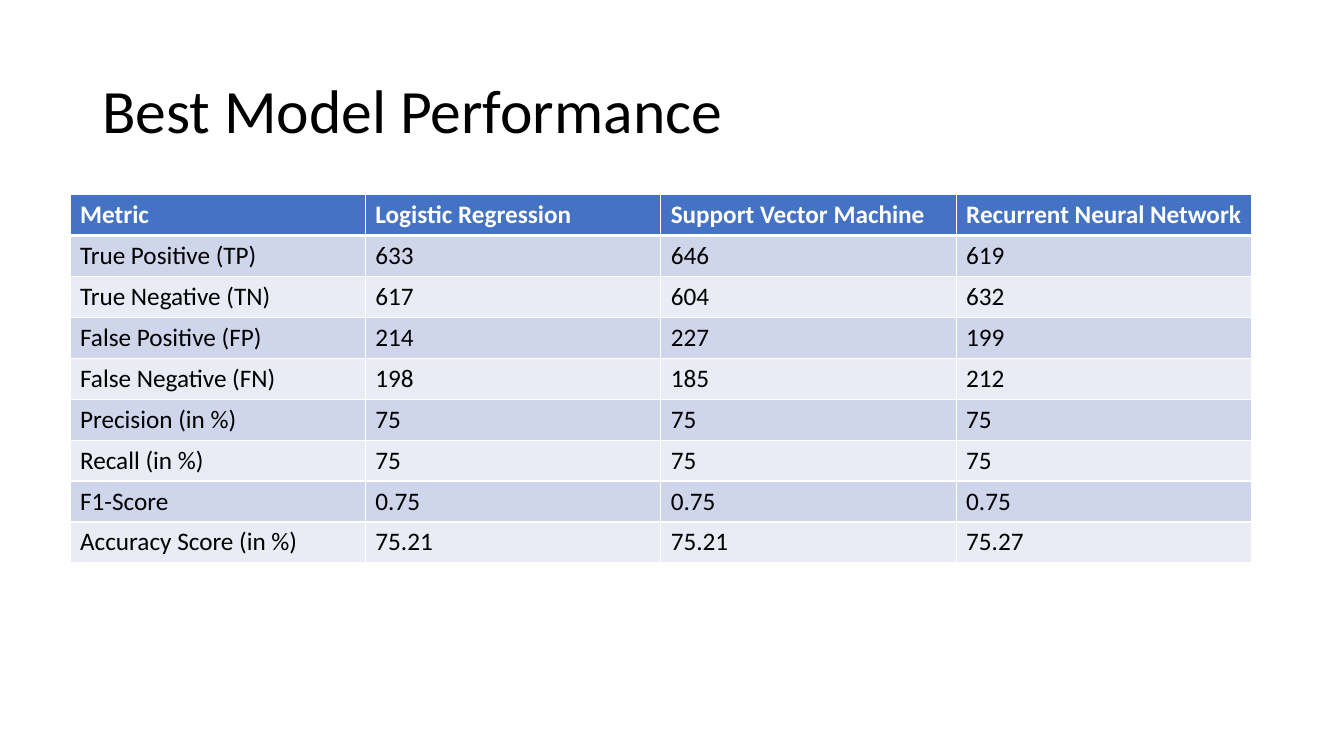
from dataclasses import dataclass

from lxml import etree
from pptx import Presentation
from pptx.dml.color import RGBColor
from pptx.enum.text import MSO_ANCHOR
from pptx.oxml.ns import qn
from pptx.slide import Slide
from pptx.table import _Cell
from pptx.text.text import _Paragraph
from pptx.util import Emu, Pt

EMU_PER_PX = 3175
FONT = "Calibri"
MIDDLE = MSO_ANCHOR.MIDDLE
COLORS = {
    "black": "000000",
    "white": "FFFFFF",
    "header": "4472C4",
    "odd": "CFD5EA",
    "even": "E9EBF5",
}
COLUMN_WIDTH = 844
ROW_HEIGHT = 117
TABLE_LEFT = 200
TABLE_TOP = 556


@dataclass(frozen=True)
class MetricRow:
    metric: str
    logistic_regression: str
    support_vector_machine: str
    recurrent_neural_network: str

    def texts(self) -> list[str]:
        return [
            self.metric,
            self.logistic_regression,
            self.support_vector_machine,
            self.recurrent_neural_network,
        ]


@dataclass(frozen=True)
class CellStyle:
    fill: str
    text: str
    bold: bool
    top_border: int
    bottom_border: int


ROWS = [
    MetricRow("Metric", "Logistic Regression", "Support Vector Machine", "Recurrent Neural Network"),
    MetricRow("True Positive (TP)", "633", "646", "619"),
    MetricRow("True Negative (TN)", "617", "604", "632"),
    MetricRow("False Positive (FP)", "214", "227", "199"),
    MetricRow("False Negative (FN)", "198", "185", "212"),
    MetricRow("Precision (in %)", "75", "75", "75"),
    MetricRow("Recall (in %)", "75", "75", "75"),
    MetricRow("F1-Score", "0.75", "0.75", "0.75"),
    MetricRow("Accuracy Score (in %)", "75.21", "75.21", "75.27"),
]


def px(length: int) -> Emu:
    return Emu(length * EMU_PER_PX)


def color(name: str) -> RGBColor:
    return RGBColor.from_string(COLORS[name])


def add_run(paragraph: _Paragraph, text: str, size: int, color_name: str, bold: bool = False) -> None:
    run = paragraph.add_run()
    run.text = text
    run.font.name = FONT
    run.font.size = Pt(size)
    run.font.bold = bold
    run.font.color.rgb = color(color_name)


def add_title(slide: Slide, text: str) -> None:
    title = slide.shapes.add_textbox(px(264), px(115), px(3312), px(418))
    title.text_frame.word_wrap = True
    title.text_frame.vertical_anchor = MIDDLE
    paragraph = title.text_frame.paragraphs[0]
    paragraph.line_spacing = 0.9
    add_run(paragraph, text, 44, "black")


def add_border(cell: _Cell, side: str, width: int) -> None:
    properties = cell._tc.get_or_add_tcPr()
    line = etree.SubElement(properties, qn(f"a:ln{side}"), w=str(Pt(width)))
    fill = etree.SubElement(line, qn("a:solidFill"))
    etree.SubElement(fill, qn("a:srgbClr"), val=COLORS["white"])


def row_style(row_index: int) -> CellStyle:
    if row_index == 0:
        return CellStyle("header", "white", True, 1, 3)
    fill = "odd" if row_index % 2 else "even"
    return CellStyle(fill, "black", False, 3 if row_index == 1 else 1, 1)


def fill_cell(cell: _Cell, text: str, style: CellStyle) -> None:
    borders = {"L": 1, "R": 1, "T": style.top_border, "B": style.bottom_border}
    for side, width in borders.items():
        add_border(cell, side, width)
    cell.fill.solid()
    cell.fill.fore_color.rgb = color(style.fill)
    add_run(cell.text_frame.paragraphs[0], text, 18, style.text, style.bold)


def add_metric_table(slide: Slide, rows: list[MetricRow]) -> None:
    column_count = len(rows[0].texts())
    table = slide.shapes.add_table(
        len(rows),
        column_count,
        px(TABLE_LEFT),
        px(TABLE_TOP),
        px(COLUMN_WIDTH * column_count),
        px(ROW_HEIGHT * len(rows)),
    ).table
    for column in table.columns:
        column.width = px(COLUMN_WIDTH)
    for row_index, row in enumerate(rows):
        table.rows[row_index].height = px(ROW_HEIGHT)
        for column_index, text in enumerate(row.texts()):
            fill_cell(table.cell(row_index, column_index), text, row_style(row_index))


def main() -> None:
    presentation = Presentation()
    presentation.slide_width = px(3840)
    presentation.slide_height = px(2160)
    slide = presentation.slides.add_slide(presentation.slide_layouts[6])
    add_title(slide, "Best Model Performance")
    add_metric_table(slide, ROWS)
    presentation.save("out.pptx")


if __name__ == "__main__":
    main()
